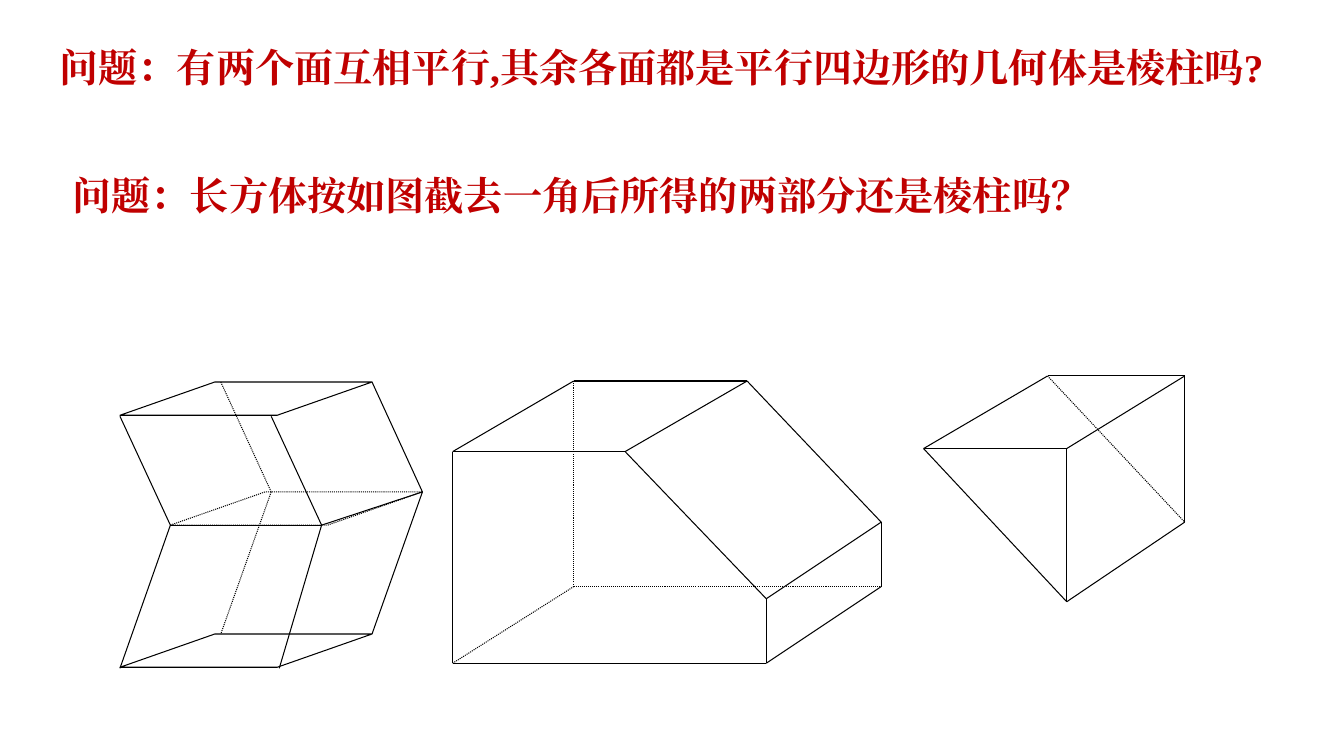
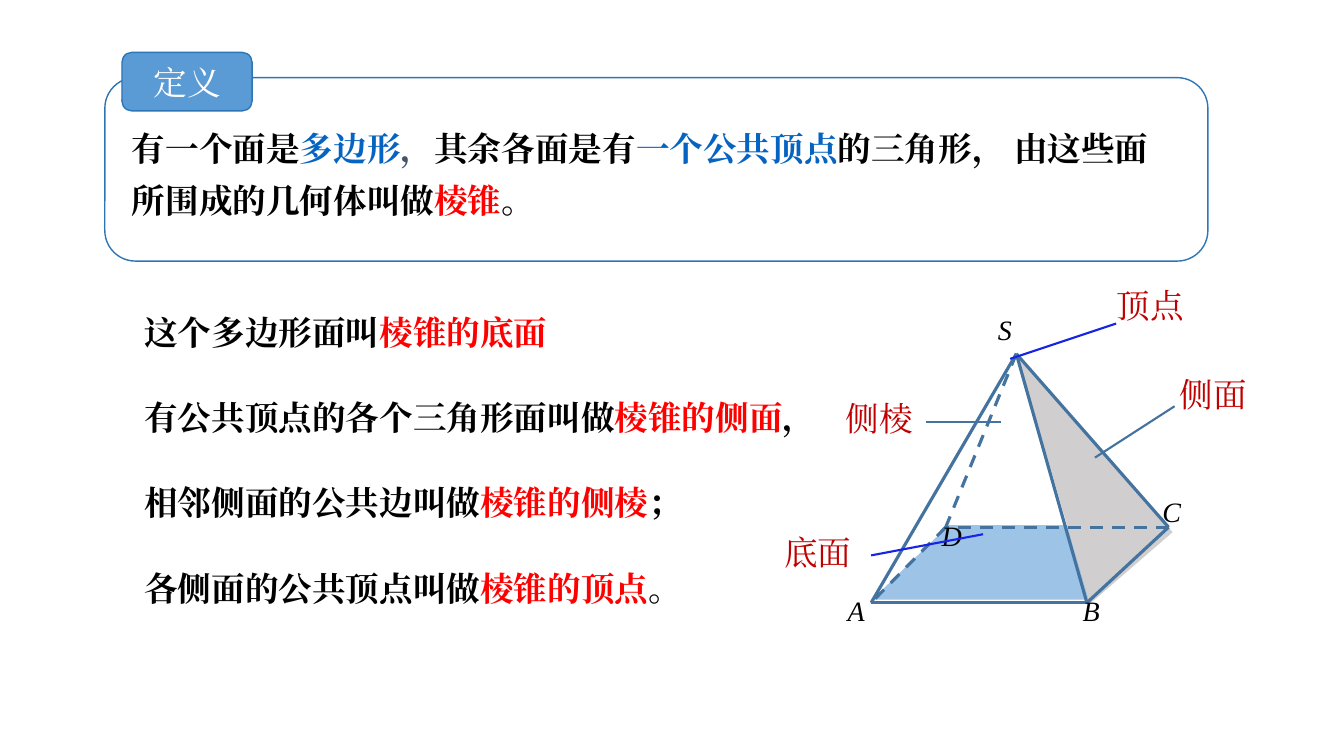
from lxml import etree
from pptx import Presentation
from pptx.dml.color import RGBColor
from pptx.enum.dml import MSO_LINE
from pptx.enum.shapes import MSO_CONNECTOR, MSO_SHAPE
from pptx.enum.text import MSO_ANCHOR, MSO_AUTO_SIZE, PP_ALIGN
from pptx.oxml.ns import qn
from pptx.util import Inches, Pt

STRAIGHT = MSO_CONNECTOR.STRAIGHT
ROUNDED = MSO_SHAPE.ROUNDED_RECTANGLE
PARALLELOGRAM = MSO_SHAPE.PARALLELOGRAM
DOT, DASH = MSO_LINE.ROUND_DOT, MSO_LINE.DASH
TOP, MIDDLE = MSO_ANCHOR.TOP, MSO_ANCHOR.MIDDLE
LEFT, CENTER = PP_ALIGN.LEFT, PP_ALIGN.CENTER
NO_FIT = MSO_AUTO_SIZE.NONE

FONT = "Times New Roman"
BLACK, WHITE, RED = "000000", "FFFFFF", "FF0000"
DARK_RED, LINK_BLUE, SLATE = "C00000", "0563C1", "44546A"
BORDER, TAB_BLUE = "2E75B6", "5B9BD5"
EDGE, POINTER = "43739E", "1624E8"
BASE_FILL, SIDE_FILL = "9DC3E6", "D0CECE"


def rgb(value):
    return RGBColor.from_string(value)


def place(sp, x, y, w, h):
    sp.left, sp.top, sp.width, sp.height = map(Inches, (x, y, w, h))


def write(p, parts, size, bold=False, italic=False):
    for text, color in parts:
        r = p.add_run()
        r.text = text
        f = r.font
        f.name, f.size, f.bold, f.italic = FONT, Pt(size), bold, italic
        f.color.rgb = rgb(color)
        etree.SubElement(r._r.get_or_add_rPr(), qn("a:ea"), typeface=FONT)


def prepare(sp, anchor=TOP):
    tf = sp.text_frame
    tf.word_wrap = True
    tf.auto_size = NO_FIT
    tf.vertical_anchor = anchor
    return tf


def add_text(s, x, y, w, h, parts, size=24, spacing=1.0, **style):
    sp = s.shapes.add_textbox(*map(Inches, (x, y, w, h)))
    p = prepare(sp).paragraphs[0]
    p.line_spacing = spacing
    write(p, parts, size, **style)


def set_title(s, box, parts, size, align, anchor=TOP, bold=False):
    sp = s.shapes.title
    place(sp, *box)
    p = prepare(sp, anchor).paragraphs[0]
    p.alignment = align
    write(p, parts, size, bold)
    return sp


def set_line(sp, color, width, dash=None):
    sp.line.color.rgb = rgb(color)
    sp.line.width = Pt(width)
    if dash:
        sp.line.dash_style = dash


def add_line(s, start, end, color, width, dash=None):
    sp = s.shapes.add_connector(STRAIGHT, *map(Inches, (*start, *end)))
    etree.SubElement(sp._element.spPr, qn("a:effectLst"))
    set_line(sp, color, width, dash)


def add_outline(s, kind, x, y, w, h, color, width, dash=None, fill=None):
    sp = s.shapes.add_shape(kind, *map(Inches, (x, y, w, h)))
    sp.shadow.inherit = False
    if fill:
        sp.fill.solid()
        sp.fill.fore_color.rgb = rgb(fill)
    else:
        sp.fill.background()
    set_line(sp, color, width, dash)
    return sp


def add_face(s, x, y, points, color):
    corners = [(Inches(x + px), Inches(y + py)) for px, py in points]
    builder = s.shapes.build_freeform(*corners[0])
    builder.add_line_segments(corners[1:])
    sp = builder.convert_to_shape()
    sp.shadow.inherit = False
    sp.fill.solid()
    sp.fill.fore_color.rgb = rgb(color)
    sp.line.fill.background()


def add_edges(s, x, y, points, solid, hidden, color=BLACK, width=0.75, dash=DOT):
    corners = {name: (x + px, y + py) for name, (px, py) in points.items()}
    for edges, style in ((solid, None), (hidden, dash)):
        for a, b in edges.split():
            add_line(s, corners[a], corners[b], color, width, style)


def folded_prism(s, x, y):
    for dx, dy, dash in ((0.5, 1.09, DOT), (0, 2.5, None), (0, 0, None)):
        sp = add_outline(s, PARALLELOGRAM, x + dx, y + dy, 2.5, 0.33, BLACK, 0.75, dash)
        sp.adjustments[0] = 2.85
    points = {
        "A": (0, 0.34), "B": (1.5, 0.34), "C": (2.5, 0), "D": (1, 0),
        "E": (0.5, 1.42), "F": (2, 1.42), "G": (3, 1.09), "H": (1.5, 1.09),
        "I": (0, 2.84), "J": (1.58, 2.84), "K": (2.5, 2.5), "L": (1, 2.5),
    }
    add_edges(s, x, y, points, "AE CG FJ EI GK BF EF GF", "DH HL")


def cut_cuboid(s, x, y):
    points = {
        "A": (0, 0.7), "B": (1.71, 0.7), "C": (2.92, 0), "D": (1.2, 0),
        "E": (0, 2.8), "F": (3.11, 2.8), "G": (3.11, 2.16),
        "H": (4.25, 1.4), "I": (4.25, 2.04), "J": (1.2, 2.04),
    }
    add_edges(s, x, y, points, "AB BC CD DA AE EF FG GH HI BG FI CH", "EJ JI JD")


def cut_corner(s, x, y):
    points = {
        "A": (0, 0.72), "B": (1.42, 0.72), "C": (2.59, 0), "D": (1.23, 0),
        "E": (1.42, 2.24), "F": (2.59, 1.45),
    }
    add_edges(s, x, y, points, "AB BC CD DA AE BE CF EF", "DF")


def definition_box(s, x, y, w, h):
    add_outline(s, ROUNDED, x, y, w, h, BORDER, 1)
    parts = [
        ("有一个面是", BLACK), ("多边形", LINK_BLUE), ("，", SLATE),
        ("其余各面是有", BLACK), ("一个公共顶点", LINK_BLUE),
        ("的三角形， 由这些面所围成的几何体叫做", BLACK),
        ("棱锥", RED), ("。", BLACK),
    ]
    add_text(s, x + 0.17, y + 0.33, w - 0.49, 1.5, parts, spacing=1.3, bold=True)
    tab = (x + 0.17, y - 0.25, 1.29, 0.58)
    add_outline(s, ROUNDED, *tab, BORDER, 1, fill=TAB_BLUE)
    title = set_title(s, tab, [("定义", WHITE)], 24, CENTER, MIDDLE)
    s.shapes._spTree.append(title._element)


def terms_list(s, x, y, w, h):
    terms = [
        ("这个多边形面叫", "棱锥的底面", ""),
        ("有公共顶点的各个三角形面叫做", "棱锥的侧面", "，"),
        ("相邻侧面的公共边叫做", "棱锥的侧棱", "；"),
        ("各侧面的公共顶点叫做", "棱锥的顶点", "。"),
    ]
    sp = s.placeholders[1]
    place(sp, x, y, w, h)
    tf = prepare(sp)
    for i, (lead, term, end) in enumerate(terms):
        p = tf.add_paragraph() if i else tf.paragraphs[0]
        p.line_spacing, p.space_before, p.space_after = 1.7, Pt(0), Pt(12)
        pPr = p._p.get_or_add_pPr()
        pPr.set("marL", str(Inches(0.29)))
        pPr.set("indent", "0")
        etree.SubElement(pPr, qn("a:buNone"))
        parts = [(lead, BLACK), (term, RED), (end, BLACK)]
        write(p, [part for part in parts if part[0]], 24, bold=True)


def pyramid(s, x, y):
    add_face(s, x, y, [(0.01, 2.44), (2.19, 2.44), (2.95, 1.7), (0.77, 1.7)], BASE_FILL)
    add_face(s, x, y, [(1.45, 0), (2.17, 2.48), (2.99, 1.77)], SIDE_FILL)
    points = {
        "S": (1.44, 0), "A": (0, 2.47), "B": (2.14, 2.47),
        "C": (2.95, 1.72), "D": (0.74, 1.72),
    }
    add_edges(s, x, y, points, "AB BC SA SB SC", "CD DA SD", EDGE, 2.25, DASH)
    vertices = [
        ("S", 1.16, -0.46), ("A", -0.33, 2.33), ("B", 2, 2.33),
        ("C", 2.79, 1.35), ("D", 0.6, 1.58),
    ]
    for name, dx, dy in vertices:
        add_text(s, x + dx, y + dy, 0.46, 0.44, [(name, BLACK)], 20, italic=True)
    callouts = [
        ("侧面", 2.96, 0.15, (3.01, 0.52), (2.22, 1.03), EDGE),
        ("侧棱", -0.35, 0.39, (0.54, 0.68), (1.29, 0.68), EDGE),
        ("顶点", 2.34, -0.73, (2.43, -0.3), (1.38, 0.05), POINTER),
        ("底面", -0.96, 1.72, (0, 2), (1.11, 1.79), POINTER),
    ]
    for label, dx, dy, start, end, color in callouts:
        add_text(s, x + dx, y + dy, 1.03, 0.5, [(label, DARK_RED)])
        add_edges(s, x, y, {"P": start, "Q": end}, "PQ", "", color, 1.5)


def questions_slide(prs):
    s = prs.slides.add_slide(prs.slide_layouts[5])
    first = "问题：有两个面互相平行,其余各面都是平行四边形的几何体是棱柱吗?"
    second = "问题：长方体按如图截去一角后所得的两部分还是棱柱吗？"
    set_title(s, (0.49, 0.38, 12.6, 0.57), [(first, DARK_RED)], 28, LEFT, bold=True)
    add_text(s, 0.62, 1.65, 11, 0.57, [(second, DARK_RED)], 28, bold=True)
    folded_prism(s, 1.19, 3.79)
    cut_cuboid(s, 4.49, 3.78)
    cut_corner(s, 9.16, 3.73)


def pyramid_slide(prs):
    s = prs.slides.add_slide(prs.slide_layouts[1])
    definition_box(s, 1.04, 0.77, 10.94, 1.82)
    terms_list(s, 1.04, 2.76, 7.09, 3.35)
    pyramid(s, 8.64, 3.51)


def main():
    prs = Presentation()
    prs.slide_width, prs.slide_height = Inches(13.33), Inches(7.5)
    questions_slide(prs)
    pyramid_slide(prs)
    prs.save("out.pptx")


if __name__ == "__main__":
    main()
